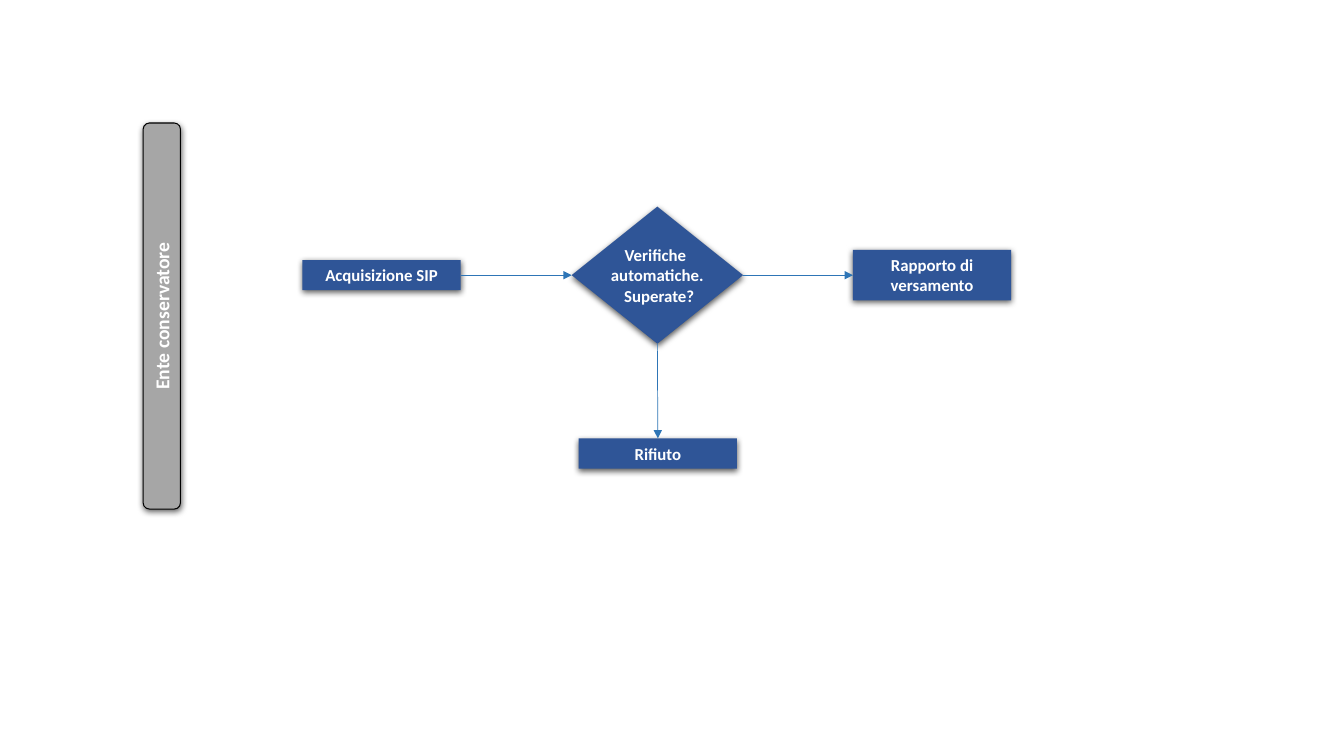
from lxml.etree import SubElement
from pptx import Presentation
from pptx.dml.color import RGBColor
from pptx.enum.shapes import MSO_CONNECTOR, MSO_SHAPE as Shape
from pptx.enum.text import MSO_ANCHOR as Anchor, MSO_AUTO_SIZE as AutoSize, PP_ALIGN
from pptx.oxml.ns import qn
from pptx.util import Inches, Pt

BLUE, ARROW_BLUE, GREY = "2F5597", "2E75B6", "A6A6A6"
STEP_WIDTH = 1.57
TOP, LEFT, BOTTOM, RIGHT = range(4)  # connection sites


def color(value):
    return RGBColor.from_string(value)


def add_shadow(shape):
    shape.shadow.inherit = False
    effects = shape._element.spPr.find(qn("a:effectLst"))
    shadow = SubElement(effects, qn("a:outerShdw"), blurRad=str(Pt(4.5)),
                        dist=str(Pt(1.5)), dir="5400000", algn="ctr", rotWithShape="0")
    black = SubElement(shadow, qn("a:srgbClr"), val="000000")
    SubElement(black, qn("a:alpha"), val="63000")


def add_box(slide, kind, box, lines, fill=BLUE, size=12, anchor=Anchor.MIDDLE):
    shape = slide.shapes.add_shape(kind, *map(Inches, box))
    shape.fill.solid()
    shape.fill.fore_color.rgb = color(fill)
    shape.line.fill.background()
    add_shadow(shape)
    frame = shape.text_frame
    frame.text = "\n".join(lines)
    frame.word_wrap = True
    frame.vertical_anchor = anchor
    for paragraph in frame.paragraphs:
        paragraph.alignment = PP_ALIGN.CENTER
        font = paragraph.font
        font.name, font.size, font.bold = "Calibri", Pt(size), True
        font.color.rgb = color("FFFFFF")
    return shape


def add_step(slide, left, top, height, text):
    step = add_box(slide, Shape.RECTANGLE, (left, top, STEP_WIDTH, height), [text])
    step.text_frame.auto_size = AutoSize.SHAPE_TO_FIT_TEXT
    return step


def add_decision(slide, box, lines):
    decision = add_box(slide, Shape.DIAMOND, box, lines)
    decision.text_frame.word_wrap = False
    return decision


def add_lane(slide, box, text):
    lane = add_box(slide, Shape.ROUNDED_RECTANGLE, box, [text], GREY, 14, Anchor.TOP)
    lane.rotation = 270
    lane.line.color.rgb = color("000000")
    lane.line.width = Pt(0.75)
    lane.text_frame.auto_size = AutoSize.SHAPE_TO_FIT_TEXT


def add_arrow(slide, source, source_site, target, target_site):
    arrow = slide.shapes.add_connector(MSO_CONNECTOR.STRAIGHT, 0, 0, 0, 0)
    arrow.begin_connect(source, source_site)
    arrow.end_connect(target, target_site)
    arrow.line.color.rgb = color(ARROW_BLUE)
    arrow.line.width = Pt(0.5)
    SubElement(arrow.get_or_add_ln(), qn("a:tailEnd"), type="triangle")
    SubElement(arrow._element.spPr, qn("a:effectLst"))


def main():
    presentation = Presentation()
    presentation.slide_width = Inches(13.33)
    presentation.slide_height = Inches(7.5)
    slide = presentation.slides.add_slide(presentation.slide_layouts[6])

    # Steps of the flow
    checks = add_decision(slide, (5.67, 2.05, 1.7, 1.36),
                          ["Verifiche ", "automatiche.", " Superate?"])
    report = add_step(slide, 8.46, 2.48, 0.5, "Rapporto di versamento")
    intake = add_step(slide, 3, 2.58, 0.3, "Acquisizione SIP")
    refusal = add_step(slide, 5.74, 4.35, 0.3, "Rifiuto")

    # Arrows between the steps
    add_arrow(slide, intake, RIGHT, checks, LEFT)
    add_arrow(slide, checks, RIGHT, report, LEFT)
    add_arrow(slide, checks, BOTTOM, refusal, TOP)

    # Lane label
    add_lane(slide, (-0.31, 2.95, 3.83, 0.37), "Ente conservatore")

    presentation.save("out.pptx")


if __name__ == "__main__":
    main()
